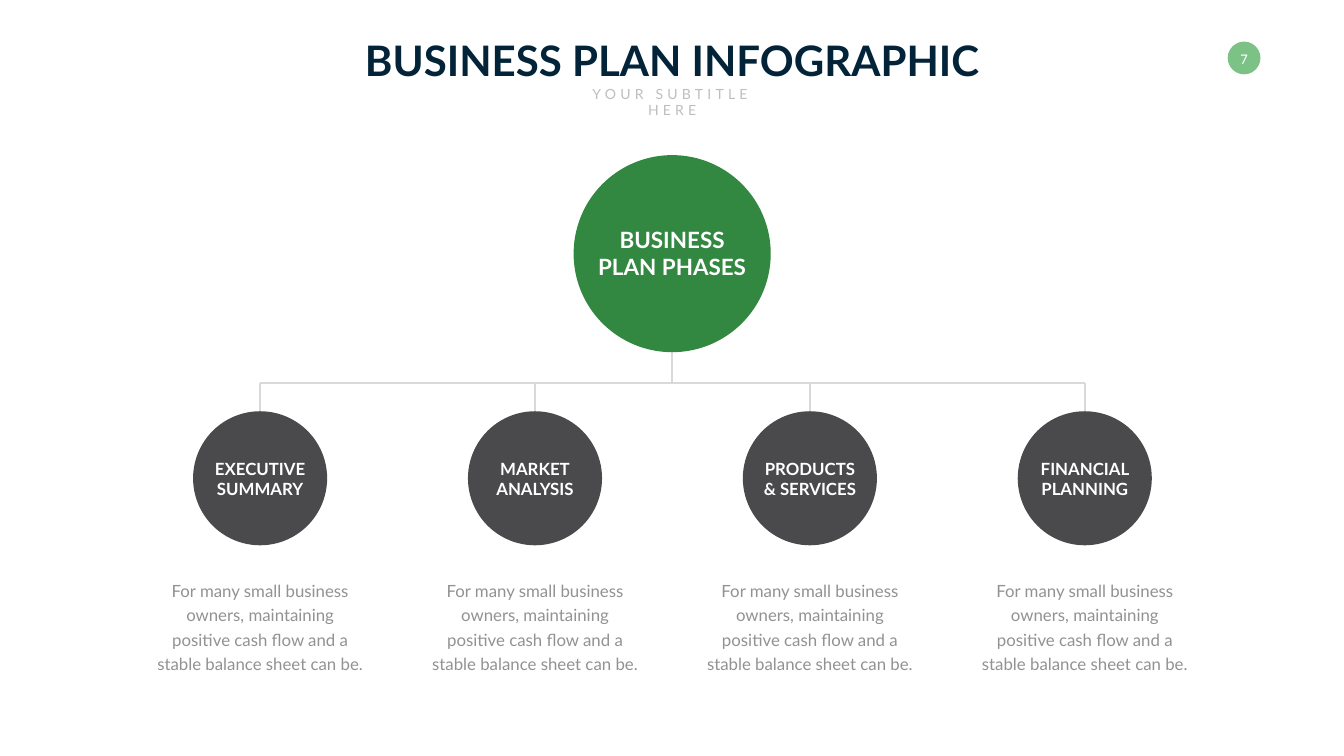
"""Build the business plan infographic slide: one main circle branching into four phases."""
from dataclasses import dataclass

from lxml import etree
from pptx import Presentation
from pptx.dml.color import RGBColor
from pptx.enum.shapes import MSO_CONNECTOR, MSO_SHAPE
from pptx.enum.text import MSO_ANCHOR, PP_ALIGN
from pptx.oxml.ns import qn
from pptx.util import Pt

OVAL = MSO_SHAPE.OVAL
STRAIGHT = MSO_CONNECTOR.STRAIGHT
CENTER = PP_ALIGN.CENTER
TOP, MIDDLE = MSO_ANCHOR.TOP, MSO_ANCHOR.MIDDLE


@dataclass(frozen=True)
class Theme:
    font: str = "Lato"
    badge_font: str = "Calibri"
    navy: str = "022338"
    white: str = "FFFFFF"
    subtitle: str = "BEBEBF"
    body: str = "929294"
    line: str = "D9D9D9"
    main: str = "328840"
    phase: str = "4A4A4C"
    badge: str = "7CC287"
    title_size: int = 60
    main_size: int = 32
    phase_size: int = 24
    badge_size: int = 21
    subtitle_size: int = 20


THEME = Theme()

prs = Presentation()
prs.slide_width, prs.slide_height = Pt(1919.52), Pt(1080)
slide = prs.slides.add_slide(prs.slide_layouts[6])
shapes = slide.shapes


def add_circle(center_x, top, diameter, color):
    circle = shapes.add_shape(OVAL, Pt(center_x - diameter / 2), Pt(top), Pt(diameter), Pt(diameter))
    circle.shadow.inherit = False
    circle.fill.solid()
    circle.fill.fore_color.rgb = RGBColor.from_string(color)
    circle.line.fill.background()
    return circle


def add_label(center_x, top, width, height, text, size, color, bold=False, anchor=TOP, wrap=True):
    label = shapes.add_textbox(Pt(center_x - width / 2), Pt(top), Pt(width), Pt(height))
    frame = label.text_frame
    frame.word_wrap = wrap
    frame.vertical_anchor = anchor
    for index, line in enumerate(text.split("\n")):
        paragraph = frame.add_paragraph() if index else frame.paragraphs[0]
        paragraph.alignment = CENTER
        run = paragraph.add_run()
        run.text = line
        run.font.name = THEME.font
        run.font.size = Pt(size)
        run.font.bold = bold
        run.font.color.rgb = RGBColor.from_string(color)
    return frame.paragraphs[0]


badge = add_circle(1776.8, 59.4, 46.8, THEME.badge)
badge_frame = badge.text_frame
badge_frame.word_wrap = False
badge_frame.vertical_anchor = MIDDLE
badge_frame.margin_top = Pt(5.4)
badge_frame.paragraphs[0].alignment = CENTER
page_number = badge_frame.paragraphs[0].add_run()
page_number.text = "7"
page_number.font.name = THEME.badge_font
page_number.font.size = Pt(THEME.badge_size)
page_number.font.color.rgb = RGBColor.from_string(THEME.white)

mid_x = 960
add_label(mid_x, 46, 908.6, 80, "BUSINESS PLAN INFOGRAPHIC", THEME.title_size, THEME.navy,
          bold=True, wrap=False)
subtitle = add_label(mid_x, 118, 319, 31.7, "YOUR SUBTITLE HERE", THEME.subtitle_size, THEME.subtitle)
subtitle.runs[0].font._element.set("spc", "600")

main_top, main_diameter = 221.6, 281.5
bar_y = 547.5
phase_top, phase_diameter = 587.5, 191.5
first_x, phase_step = 371.5, 392.6
phases = ["EXECUTIVE SUMMARY", "MARKET\nANALYSIS", "PRODUCTS & SERVICES", "FINANCIAL PLANNING"]
phase_xs = [first_x + phase_step * index for index in range(len(phases))]
description = "For many small business owners, maintaining positive cash flow and a stable balance sheet can be."

branches = [(mid_x, main_top + main_diameter, mid_x, bar_y), (phase_xs[0], bar_y, phase_xs[-1], bar_y)]
branches += [(x, bar_y, x, phase_top) for x in phase_xs]
for begin_x, begin_y, end_x, end_y in branches:
    branch = shapes.add_connector(STRAIGHT, Pt(begin_x), Pt(begin_y), Pt(end_x), Pt(end_y))
    branch.line.color.rgb = RGBColor.from_string(THEME.line)
    branch.line.width = Pt(3)
    etree.SubElement(branch._element.spPr, qn("a:effectLst"))

add_circle(mid_x, main_top, main_diameter, THEME.main)
add_label(mid_x, 319.2, 229.7, 85, "BUSINESS\nPLAN PHASES", THEME.main_size, THEME.white,
          bold=True, anchor=MIDDLE, wrap=False)

for x, phase in zip(phase_xs, phases):
    add_circle(x, phase_top, phase_diameter, THEME.phase)
    add_label(x, 651, 155.5, 65.5, phase, THEME.phase_size, THEME.white, bold=True, anchor=MIDDLE)
    summary = add_label(x, 819.4, 312, 144.7, description, THEME.phase_size, THEME.body)
    summary.line_spacing = Pt(35)

prs.save("out.pptx")
